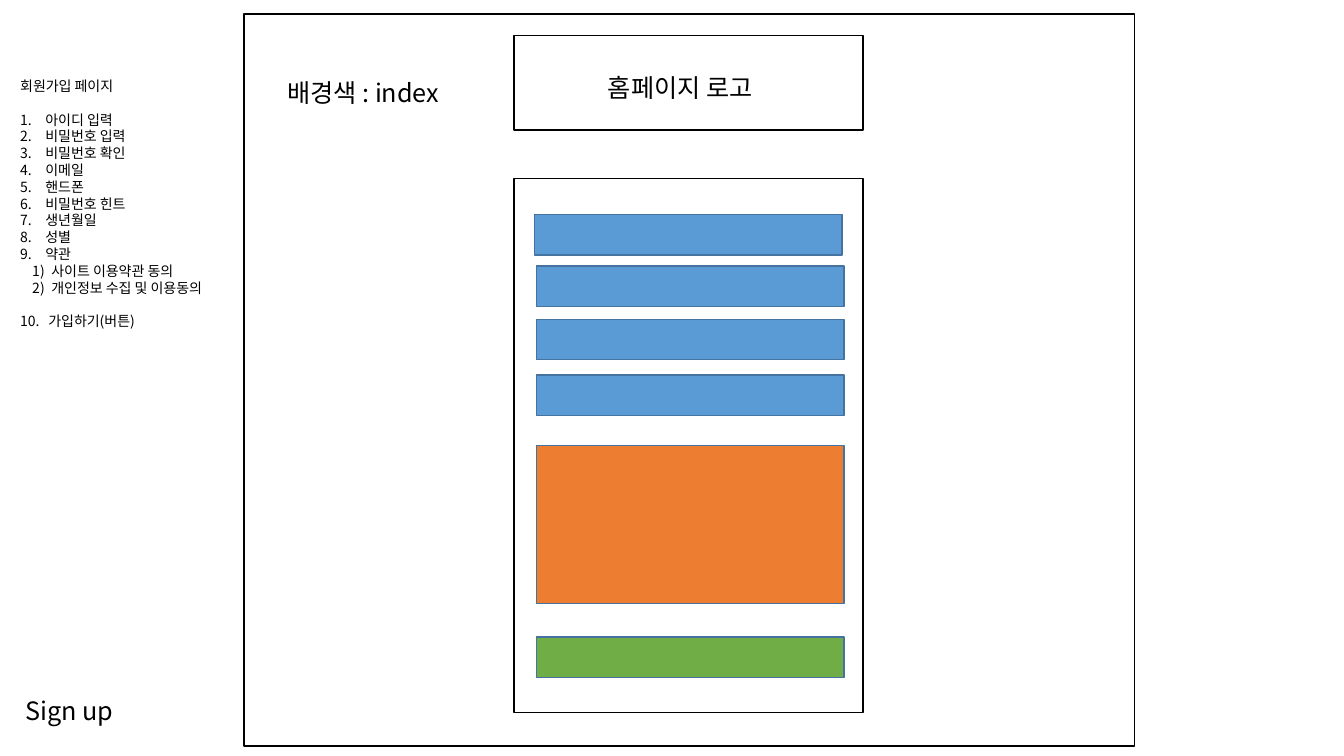
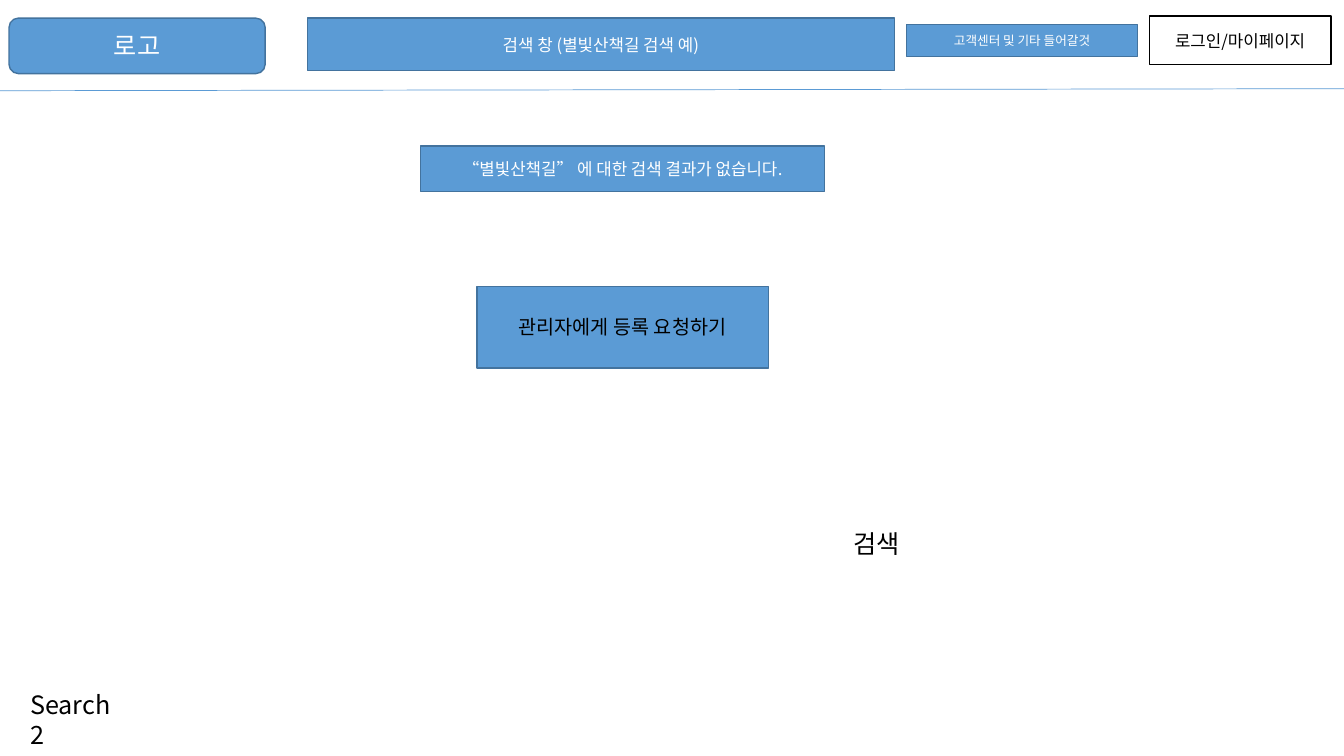
import pptx
import pptx.util
import pptx.dml.color
import pptx.enum.shapes
import pptx.enum.text
import pptx.oxml.ns
import lxml.etree

Inches = pptx.util.Inches
Pt = pptx.util.Pt
KIND = pptx.enum.shapes.MSO_SHAPE
ALIGN = pptx.enum.text.PP_ALIGN
ANCHOR = pptx.enum.text.MSO_ANCHOR
FIT = pptx.enum.text.MSO_AUTO_SIZE

FONT = "Noto Sans CJK KR"
COLORS = {
    "ink": "000000", "white": "FFFFFF", "blue": "5B9BD5",
    "edge": "43739E", "orange": "ED7D31", "green": "70AD47",
}
FRAME = {
    "margin_left": Inches(0.1), "margin_right": Inches(0.1),
    "margin_top": Inches(0.05), "margin_bottom": Inches(0.05),
    "word_wrap": True, "auto_size": FIT.NONE,
}
PARA = {"space_before": Pt(0), "space_after": Pt(0)}


def rgb(name):
    return pptx.dml.color.RGBColor.from_string(COLORS[name])


def apply(item, values):
    for key, value in values.items():
        setattr(item, key, value)


def place(shape, box):
    apply(shape, dict(zip(("left", "top", "width", "height"), map(Inches, box))))


def add_tag(parent, name, **attrs):
    return lxml.etree.SubElement(parent, pptx.oxml.ns.qn(name), **attrs)


def write(para, text, size, color="ink", align=ALIGN.LEFT, before=0):
    apply(para, {**PARA, "alignment": align, "line_spacing": Pt(size * 1.2),
                 "space_before": Pt(before)})
    run = para.add_run()
    run.text = text
    run.font.color.rgb = rgb(color)
    apply(run.font, {"size": Pt(size), "name": FONT, "bold": False})
    add_tag(run.font._element, "a:ea", typeface=FONT)


def fill_frame(frame, text, size, color="ink", align=ALIGN.LEFT, anchor=ANCHOR.TOP):
    apply(frame, {**FRAME, "vertical_anchor": anchor})
    write(frame.paragraphs[0], text, size, color, align)


def add_label(slide, box, text, size=18):
    label = slide.shapes.add_textbox(*map(Inches, box))
    fill_frame(label.text_frame, text, size)


def add_box(slide, box, fill=None, text="", size=12, color="white", kind=KIND.RECTANGLE):
    shape = slide.shapes.add_shape(kind, *map(Inches, box))
    shape.shadow.inherit = False
    if fill:
        shape.fill.solid()
        shape.fill.fore_color.rgb = rgb(fill)
    else:
        shape.fill.background()
    shape.line.color.rgb = rgb("edge" if fill else "ink")
    shape.line.width = Pt(1)
    if text:
        fill_frame(shape.text_frame, text, size, color, ALIGN.CENTER, ANCHOR.MIDDLE)


def add_rule(slide, start, end):
    rule = slide.shapes.add_connector(
        pptx.enum.shapes.MSO_CONNECTOR.STRAIGHT, *map(Inches, start + end))
    rule.line.color.rgb = rgb("blue")
    rule.line.width = Pt(0.5)
    add_tag(rule._element.spPr, "a:effectLst")


def set_title(slide, box, text):
    title = slide.shapes.title
    place(title, box)
    fill_frame(title.text_frame, text, 18)


def set_bullet(para, indent, hang, style=None, start=1):
    props = para._p.get_or_add_pPr()
    props.set("marL", str(Inches(indent)))
    props.set("indent", str(-Inches(hang)))
    if style:
        add_tag(props, "a:buFont", typeface=FONT)
        add_tag(props, "a:buAutoNum", type=style, startAt=str(start))
    else:
        add_tag(props, "a:buNone")


# Notes list beside the sign-up page
STEPS = ["아이디 입력", "비밀번호 입력", "비밀번호 확인", "이메일", "핸드폰",
         "비밀번호 힌트", "생년월일", "성별", "약관"]
TERMS = ["사이트 이용약관 동의", "개인정보 수집 및 이용동의"]


def add_notes(body, box):
    place(body, box)
    frame = body.text_frame
    apply(frame, {**FRAME, "vertical_anchor": ANCHOR.TOP})
    step, term = (0.25, 0.25, "arabicPeriod"), (0.31, 0.19, "arabicParenR")
    rows = [("회원가입 페이지", 0, (0, 0))]
    rows += [(text, 0 if i else 12, step) for i, text in enumerate(STEPS)]
    rows += [(text, 0, term) for text in TERMS]
    rows.append(("가입하기(버튼)", 12, (0.28, 0.28, "arabicPeriod", 10)))
    for i, (text, before, bullet) in enumerate(rows):
        para = frame.add_paragraph() if i else frame.paragraphs[0]
        write(para, text, 10, before=before)
        set_bullet(para, *bullet)


# Form panel: left and top offsets, height, fill
FIELDS = [
    (0.2, 0.36, 0.4, "blue"), (0.22, 0.87, 0.4, "blue"),
    (0.22, 1.4, 0.4, "blue"), (0.22, 1.95, 0.4, "blue"),
    (0.22, 2.65, 1.57, "orange"), (0.22, 4.55, 0.4, "green"),
]


def add_form(slide, box):
    left, top = box[:2]
    add_box(slide, box)
    for dx, dy, height, fill in FIELDS:
        add_box(slide, (left + dx, top + dy, 3.05, height), fill)


def add_page(slide, box):
    left, top = box[:2]
    add_box(slide, box)
    add_box(slide, (left + 2.68, top + 0.21, 3.46, 0.94))
    add_label(slide, (left + 0.33, top + 0.58, 2, 0.4), "배경색 : index")
    add_label(slide, (left + 3.51, top + 0.53, 1.81, 0.4), "홈페이지 로고")
    add_form(slide, (left + 2.68, top + 1.63, 3.46, 5.3))


# Top bar of the search page
def add_bar(slide, box):
    left, top, width, height = box
    add_box(slide, (left + 11.4, top + 0.16, 1.8, 0.48), None, "로그인/마이페이지", 12, "ink")
    add_box(slide, (left + 3.05, top + 0.18, 5.82, 0.52), "blue", "검색 창 (별빛산책길 검색 예)")
    add_box(slide, (left + 0.09, top + 0.18, 2.54, 0.55), "blue", "로고", 18,
            kind=KIND.ROUNDED_RECTANGLE)
    add_box(slide, (left + 8.99, top + 0.24, 2.29, 0.32), "blue", "고객센터 및 기타 들어갈것", 9)
    add_rule(slide, (left, top + height), (left + width, top + height - 0.02))


def add_result(slide, box):
    left, top, width = box[:3]
    add_box(slide, (left, top, width, 0.45), "blue",
            "“별빛산책길” 에 대한 검색 결과가 없습니다.")
    add_box(slide, (left + 0.56, top + 1.39, 2.89, 0.81), "blue",
            "관리자에게 등록 요청하기", 14, "ink")
    add_label(slide, (left + 4.2, top + 3.74, 0.8, 0.4), "검색")


def build_signup(deck):
    slide = deck.slides.add_slide(deck.slide_layouts[1])
    set_title(slide, (0.15, 6.85, 1.08, 0.4), "Sign up")
    add_notes(slide.placeholders[1], (0.1, 0.72, 2.26, 2.63))
    add_page(slide, (2.42, 0.14, 8.83, 7.26))


def build_search(deck):
    slide = deck.slides.add_slide(deck.slide_layouts[5])
    set_title(slide, (0.2, 6.79, 1.18, 0.7), "Search 2")
    add_bar(slide, (0, 0, 13.33, 0.9))
    add_result(slide, (4.17, 1.45, 4.01, 2.2))


def main():
    deck = pptx.Presentation()
    apply(deck, {"slide_width": Inches(13.33), "slide_height": Inches(7.5)})
    build_signup(deck)
    build_search(deck)
    deck.save("out.pptx")


if __name__ == "__main__":
    main()
